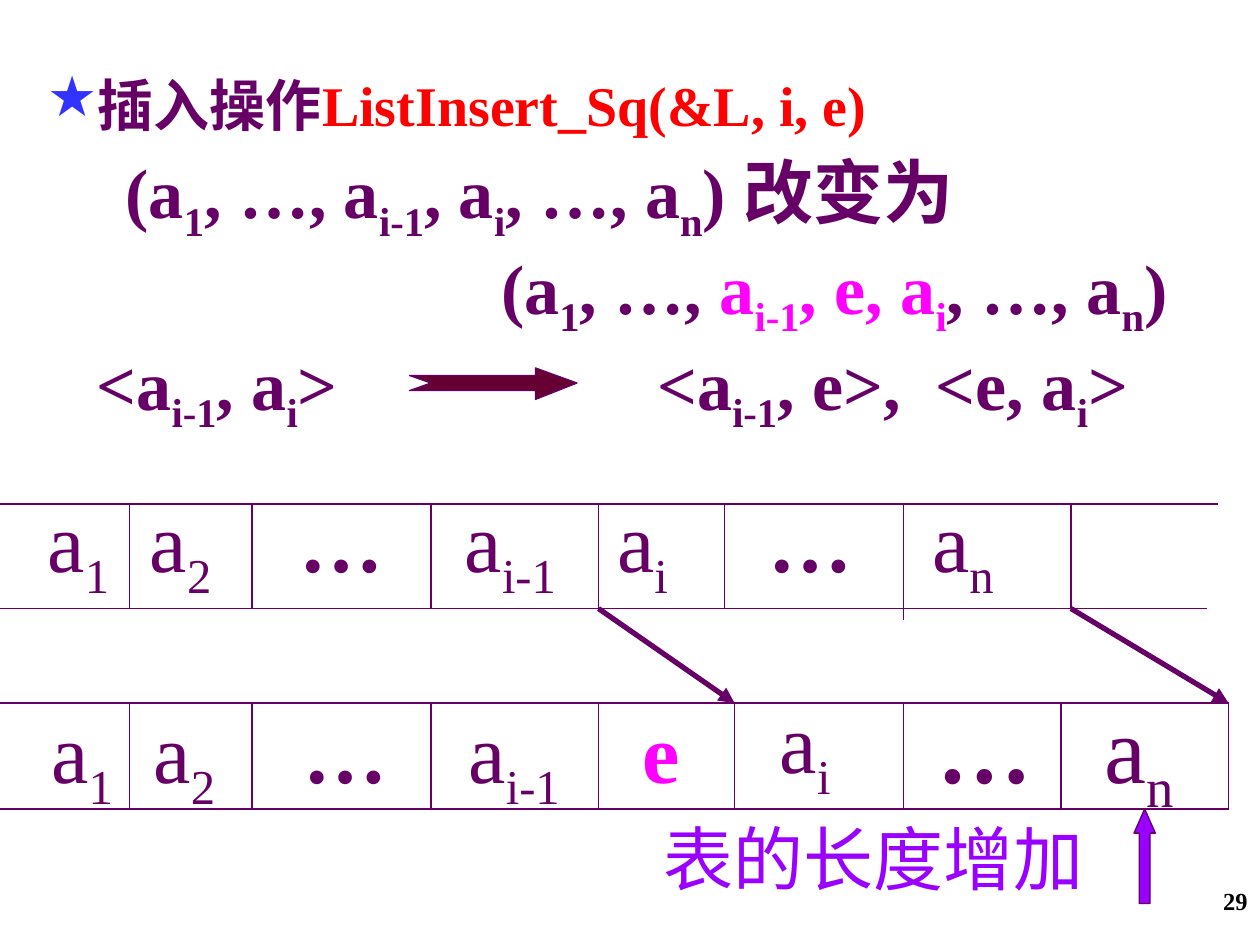
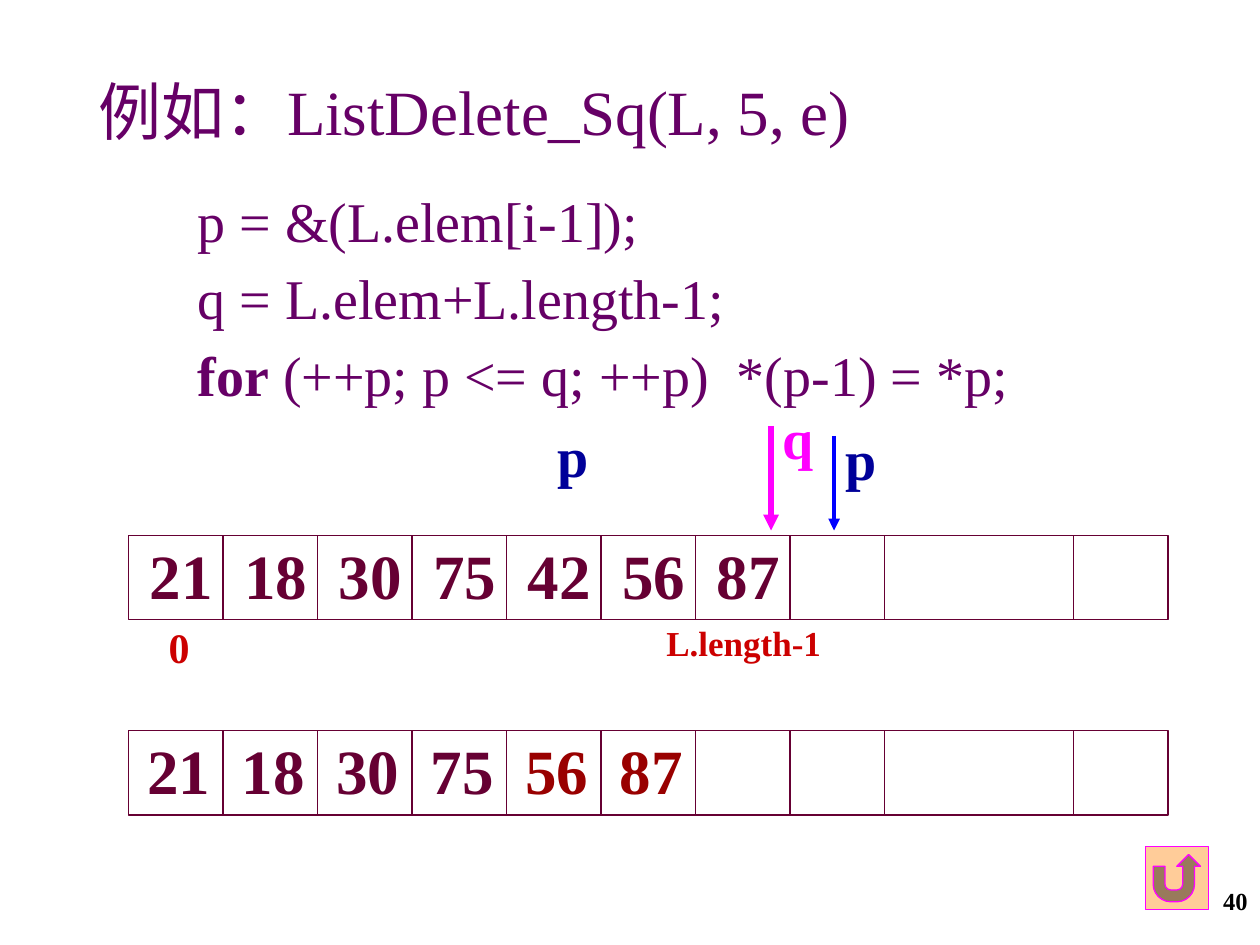
from pptx import Presentation
from pptx.dml.color import RGBColor
from pptx.enum.shapes import MSO_CONNECTOR, MSO_SHAPE
from pptx.enum.text import PP_ALIGN
from pptx.oxml.ns import qn
from pptx.util import Inches, Pt
from lxml import etree

STRAIGHT = MSO_CONNECTOR.STRAIGHT
RECT = MSO_SHAPE.RECTANGLE
UP_ARROW = MSO_SHAPE.UP_ARROW
RETURN_BUTTON = MSO_SHAPE.ACTION_BUTTON_RETURN
LEFT, RIGHT = PP_ALIGN.LEFT, PP_ALIGN.RIGHT

SERIF, SANS = "Times New Roman", "Arial"
PURPLE, MAROON, MAGENTA = "660066", "660033", "FF00FF"
VIOLET, RED, CRIMSON, DARK_RED = "9900FF", "FF0000", "CC0000", "990000"
BLUE, NAVY, STAR_BLUE = "0000FF", "000099", "3333FF"
PEACH, BLACK = "FFCC99", "000000"


def rgb(value):
    return RGBColor.from_string(value)


def add_runs(p, markup, size, color=PURPLE, bold=False, font=SERIF):
    """Text between bars is subscript, as in a|1|."""
    for i, text in enumerate(markup.split("|")):
        if not text:
            continue
        r = p.add_run()
        r.text = text
        r.font.name = font
        r.font.size = Pt(size)
        r.font.bold = bold
        r.font.color.rgb = rgb(color)
        if i % 2:
            r._r.get_or_add_rPr().set("baseline", "-25000")


def add_box(s, left, top, width, height):
    tf = s.shapes.add_textbox(Inches(left), Inches(top),
                              Inches(width), Inches(height)).text_frame
    tf.word_wrap = True
    return tf


def add_label(s, left, top, width, height, markup, size,
              color=PURPLE, bold=False, align=LEFT):
    p = add_box(s, left, top, width, height).paragraphs[0]
    p.alignment = align
    add_runs(p, markup, size, color, bold)


def add_page_number(s, number):
    add_label(s, 7.67, 6.98, 2.33, 0.52, number, 14, BLACK, True, RIGHT)


def add_line(s, x1, y1, x2, y2, color=PURPLE, width=0.75, arrow=False):
    line = s.shapes.add_connector(STRAIGHT, Inches(x1), Inches(y1),
                                  Inches(x2), Inches(y2))
    line.line.color.rgb = rgb(color)
    line.line.width = Pt(width)
    if arrow:
        etree.SubElement(line.line._get_or_add_ln(), qn("a:tailEnd"), type="triangle")
    etree.SubElement(line._element.spPr, qn("a:effectLst"))


def style_shape(shape, fill, line):
    shape.shadow.inherit = False
    if fill:
        shape.fill.solid()
        shape.fill.fore_color.rgb = rgb(fill)
    else:
        shape.fill.background()
    shape.line.color.rgb = rgb(line)
    shape.line.width = Pt(0.75)


def add_shape(s, kind, left, top, width, height, fill, line):
    shape = s.shapes.add_shape(kind, Inches(left), Inches(top),
                               Inches(width), Inches(height))
    style_shape(shape, fill, line)
    return shape


def add_notched_arrow(s):
    points = [(4.25, 2.98), (4.25, 2.92), (4.58, 3.04), (4.25, 3.17),
              (4.25, 3.1), (3.25, 3.1), (3.42, 3.04)]
    builder = s.shapes.build_freeform(Inches(3.25), Inches(2.98))
    builder.add_line_segments([(Inches(x), Inches(y)) for x, y in points], close=True)
    style_shape(builder.convert_to_shape(), MAROON, PURPLE)


def add_list_grid(s, top, bottom, top_end, bottom_end, dividers):
    add_line(s, 0, top, top_end, top)
    add_line(s, 0, bottom, bottom_end, bottom)
    for x in dividers:
        add_line(s, x, top, x, bottom)


def add_star_heading(s):
    p = add_box(s, 0, 0.4, 9.07, 0.74).paragraphs[0]
    p.line_spacing = 1.2
    pPr = p._p.get_or_add_pPr()
    pPr.set("marL", str(Inches(0.66)))
    pPr.set("indent", str(-Inches(0.38)))
    color = etree.SubElement(pPr, qn("a:buClr"))
    etree.SubElement(color, qn("a:srgbClr"), val=STAR_BLUE)
    etree.SubElement(pPr, qn("a:buChar"), char="★")
    add_runs(p, "插入操作", 32, bold=True, font=SANS)
    add_runs(p, "ListInsert_Sq(&L, i, e)", 32, RED, True)


def add_sequences(s):
    tf = add_box(s, 0.9, 1.13, 8.8, 1.62)
    add_runs(tf.paragraphs[0], "(a|1|, …, a|i-1|, a|i|, …, a|n|) 改变为", 40, bold=True)
    p = tf.add_paragraph()
    p._p.get_or_add_pPr().set("marL", str(Inches(2.98)))
    for markup, color in [("(a|1|, …, ", PURPLE), ("a|i-1|, e, a|i", MAGENTA),
                          (", …, a|n|)", PURPLE)]:
        add_runs(p, markup, 40, color, True)


def build_insert_slide(s):
    add_star_heading(s)
    add_sequences(s)
    for left, markup in [(0.67, "<a|i-1|, a|i|>"), (5.12, "<a|i-1|, e>,"),
                         (7.33, "<e, a|i|>")]:
        add_label(s, left, 2.65, 2.3, 0.86, markup, 40, bold=True)
    add_notched_arrow(s)

    shared = [1.03, 2, 3.42, 4.75]
    add_list_grid(s, 4, 4.83, 9.67, 9.58, shared + [5.75, 8.5])
    add_line(s, 7.17, 4, 7.17, 4.92)
    add_list_grid(s, 5.58, 6.42, 9.75, 9.75, shared + [5.83, 7.17, 8.42, 9.75])

    head = [(0.28, "a|1|"), (1.09, "a|2|"), (2.28, "…"), (3.59, "a|i-1|")]
    for left, markup in head + [(4.8, "a|i|"), (6, "…"), (7.3, "a|n|")]:
        add_label(s, left, 3.83, 1.2, 1.01, markup, 48, bold=markup == "…")
    for left, markup in head:
        add_label(s, left + 0.03, 5.5, 1.2, 1.01, markup, 48, bold=markup == "…")
    add_label(s, 5, 5.5, 0.66, 0.9, "e", 48, MAGENTA, True)
    add_label(s, 6.09, 5.42, 0.9, 1.01, "a|i|", 48)
    add_label(s, 7.34, 5.42, 1.1, 1, "…", 54, bold=True)
    add_label(s, 8.67, 5.42, 1.1, 1.13, "a|n|", 54)

    add_line(s, 4.75, 4.83, 5.83, 5.58, width=3, arrow=True)
    add_line(s, 8.5, 4.83, 9.75, 5.58, width=3, arrow=True)
    add_label(s, 5.17, 6.42, 3.7, 0.77, "表的长度增加", 40, VIOLET)
    up = add_shape(s, UP_ARROW, 9, 6.42, 0.17, 0.75, VIOLET, PURPLE)
    up.adjustments[0], up.adjustments[1] = 0.5, 1.13
    add_page_number(s, "29")


def add_array(s, top, text_left, text_top, values, moved_from):
    left, pitch, height = 1.02, 0.75, 0.67
    add_shape(s, RECT, left, top, 11 * pitch, height, None, MAROON)
    for column in [1, 2, 3, 4, 5, 6, 7, 8, 10]:
        x = left + column * pitch
        add_line(s, x, top, x, top + height, MAROON)
    for i, value in enumerate(values):
        color = DARK_RED if i >= moved_from else MAROON
        add_label(s, text_left + i * pitch, text_top, 0.8, 0.7, value, 36, color, True)


def build_delete_slide(s):
    add_label(s, 0.68, 0.53, 7, 0.7, "例如：ListDelete_Sq(L, 5, e)", 36)
    tf = add_box(s, 1.47, 1.35, 7.2, 1.94)
    code = [[("p = &(L.elem[i-1]);", False)],
            [("q = L.elem+L.length-1;", False)],
            [("for", True), (" (++p; p <= q; ++p)  *(p-1) = *p;", False)]]
    for i, runs in enumerate(code):
        p = tf.add_paragraph() if i else tf.paragraphs[0]
        p.line_spacing = 1.15
        for text, bold in runs:
            add_runs(p, text, 32, bold=bold)

    add_array(s, 4.25, 1.09, 4.21, ["21", "18", "30", "75", "42", "56", "87"], 7)
    add_array(s, 5.8, 1.07, 5.76, ["21", "18", "30", "75", "56", "87"], 4)
    add_label(s, 1.24, 4.88, 0.4, 0.5, "0", 24, CRIMSON, True)
    add_label(s, 5.19, 4.88, 1.6, 0.44, "L.length-1", 20, CRIMSON, True)

    for left, top, name, color in [(4.33, 3.3, "p", NAVY), (6.11, 3.15, "q", MAGENTA),
                                   (6.61, 3.32, "p", NAVY)]:
        add_label(s, left, top, 0.5, 0.64, name, 32, color, True)
    add_line(s, 6.12, 3.38, 6.12, 4.21, MAGENTA, 3, True)
    add_line(s, 6.62, 3.46, 6.62, 4.21, BLUE, 2.25, True)
    add_shape(s, RETURN_BUTTON, 9.09, 6.72, 0.5, 0.5, PEACH, MAGENTA)
    add_page_number(s, "40")


def main():
    prs = Presentation()
    prs.slide_width, prs.slide_height = Inches(10), Inches(7.5)
    blank = prs.slide_layouts[6]
    for build in (build_insert_slide, build_delete_slide):
        build(prs.slides.add_slide(blank))
    prs.save("out.pptx")


if __name__ == "__main__":
    main()
